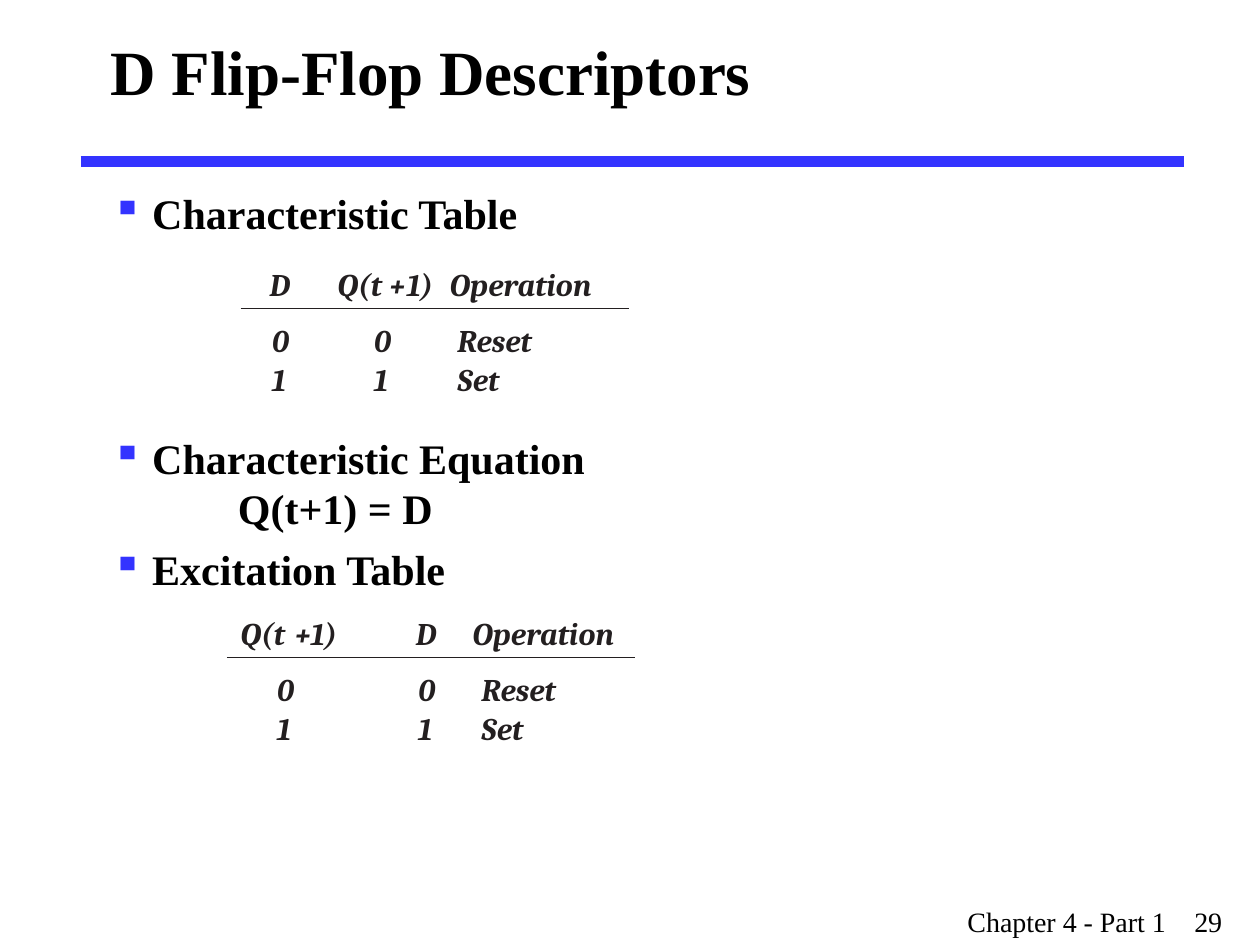
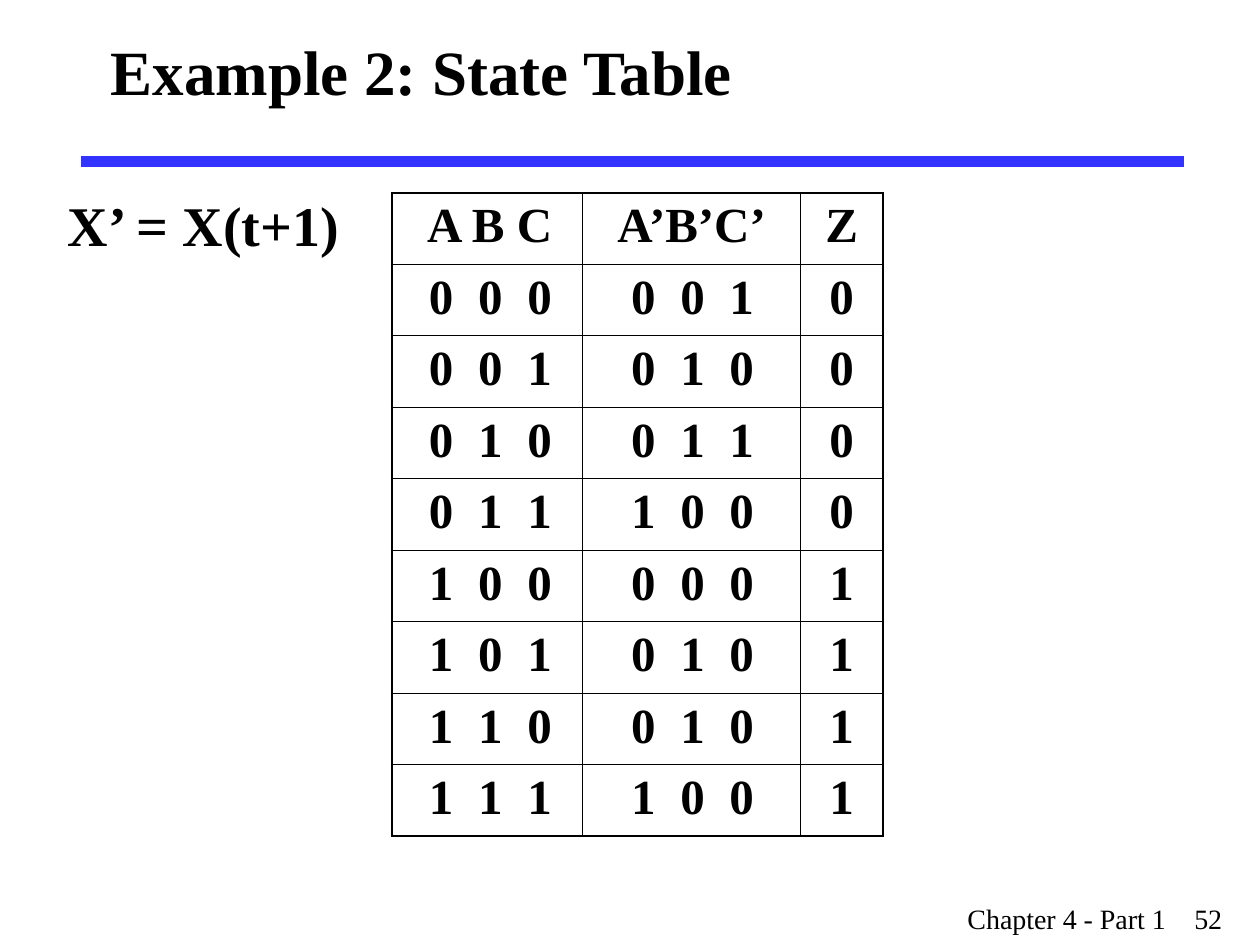
from dataclasses import dataclass

from lxml import etree
from pptx import Presentation
from pptx import util as u
from pptx.dml import color
from pptx.enum import shapes, text
from pptx.oxml import ns


@dataclass(frozen=True)
class Theme:
    ink: str = "000000"
    soft: str = "231F20"
    blue: str = "3333FF"
    serif: str = "Times New Roman"
    slant: str = "Cambria"
    title: int = 36
    note: int = 32
    cell: int = 28
    body: int = 24
    term: int = 18
    foot: int = 16
    thick: float = 1.08
    thin: float = 0.45


T = Theme()
WIDE, HIGH = u.Inches(10), u.Inches(7.5)
COLS, ROWS = 100, 75  # slide grid


def col(n):
    return round(WIDE * n / COLS)


def row(n):
    return round(HIGH * n / ROWS)


def node(parent, tag, **attrs):
    return etree.SubElement(parent, ns.qn(tag), attrs)


def write(frame, words, size=T.body, font=T.serif, ink=T.ink, bold=True,
          slant=False, align=text.PP_ALIGN.LEFT, tabs=(), bullet=None,
          hang=0, gaps=()):
    """Fill a text frame; words holds one string per paragraph."""
    frame.word_wrap = True
    for i, line in enumerate(words):
        para = frame.paragraphs[0] if i == 0 else frame.add_paragraph()
        para.text = line
        para.alignment = align
        props = para._p.get_or_add_pPr()
        if bullet:
            props.set("marL", str(col(hang)))
            props.set("indent", str(-col(hang)))
            node(node(props, "a:buClr"), "a:srgbClr", val=T.blue)
            node(props, "a:buChar", char=bullet)
        if tabs:
            stops = node(props, "a:tabLst")
            for stop in tabs:
                node(stops, "a:tab", pos=str(col(stop)), algn="l")
        if i and gaps:
            para.space_before = u.Pt(gaps[i - 1])
        for run in para.runs:
            face = run.font
            face.size, face.name = u.Pt(size), font
            face.bold, face.italic = bold, slant
            face.color.rgb = color.RGBColor.from_string(ink)


def label(slide, box, words, inset=True, mid=False, **form):
    x, y, w, h = box
    frame = slide.shapes.add_textbox(col(x), row(y), col(w), row(h)).text_frame
    if not inset:
        frame.margin_left = frame.margin_right = 0
        frame.margin_top = frame.margin_bottom = 0
    if mid:
        frame.vertical_anchor = text.MSO_ANCHOR.MIDDLE
    write(frame, words, **form)


def rule(slide, x, y, w, ink, width):
    line = slide.shapes.add_connector(
        shapes.MSO_CONNECTOR.STRAIGHT, col(x), row(y), col(x + w), row(y))
    line.line.color.rgb = color.RGBColor.from_string(ink)
    line.line.width = u.Pt(width)
    node(line._element.spPr, "a:effectLst")


def base(deck, title, page, foot):
    """Blank slide with the shared title, band and footer."""
    slide = deck.slides.add_slide(deck.slide_layouts[6])
    rule(slide, 6.4, 12.8, 87.6, T.blue, 6)
    label(slide, (7.8, 0, 85, 11.2), [title], size=T.title, mid=True)
    label(slide, (75.8, foot, 24.2, 3.7), [f"Chapter 4 - Part 1\t{page}"],
          size=T.foot, bold=False, tabs=[18])
    return slide


# Widths of the terms in the small tables
SPAN = {"D": 1.9, "0": 1.4, "1": 1.4, "+": 1.4, "Q(t": 4, "1)": 2.4,
        "+1)": 3.8, "Operation": 13.1, "Reset": 6.8, "Set": 3.9}


def terms(slide, box, heads, body):
    """Small ruled table; offsets count from the box's left edge."""
    left, top, wide = box
    rule(slide, left, top + 3.5, wide, T.soft, 0.5)
    spots = [(x, 0, word) for x, word in heads]
    spots += [(x, y, word) for x, *words in body
              for y, word in zip((4.5, 7.55), words)]
    for x, y, word in spots:
        label(slide, (left + x, top + y, SPAN[word], 3), [word], inset=False,
              size=T.term, font=T.slant, ink=T.soft, slant=True)


def edge(cell, sides):
    """Draw cell borders in the order left, right, top, bottom."""
    props = cell._tc.get_or_add_tcPr()
    for side, outer in zip("LRTB", sides):
        line = node(props, f"a:ln{side}",
                    w=str(u.Pt(T.thick if outer else T.thin)))
        node(node(line, "a:solidFill"), "a:srgbClr", val=T.ink)
    cell.fill.background()


def states(slide, box, widths, heads, data):
    x, y, w, h = box
    count, last = len(data) + 1, len(heads) - 1
    grid = slide.shapes.add_table(
        count, len(heads), col(x), row(y), col(w), row(h)).table
    grid.first_row = grid.horz_banding = False
    for part, width in zip(grid.columns, widths):
        part.width = col(width)
    for r, words in enumerate([heads, *data]):
        grid.rows[r].height = row(h / count)
        for c, word in enumerate(words):
            cell = grid.cell(r, c)
            edge(cell, (c == 0, c == last, r == 0, r == count - 1))
            if c < last:
                cell.margin_left = col(2.8 if r == 0 else (2.95, 3.9)[c])
                cell.margin_right = 0
                if r:
                    word = "\t".join(word)
            side = text.PP_ALIGN.CENTER if c == last else text.PP_ALIGN.LEFT
            write(cell.text_frame, [word], size=T.cell, align=side,
                  tabs=(3.9, 7.8) if r and c < last else ())


def traits(deck):
    slide = base(deck, "D Flip-Flop Descriptors", 29, 71.3)
    label(slide, (7.9, 14.4, 85, 55),
          ["Characteristic Table", "Characteristic Equation\v\tQ(t+1) = D",
           "Excitation Table"],
          bullet="▪", hang=3.2, tabs=range(10, 90, 10), gaps=(111, 6))
    # Characteristic table
    terms(slide, (19.1, 21, 30.8),
          [(2.3, "D"), (7.7, "Q(t"), (11.8, "+"), (13.2, "1)"),
           (16.6, "Operation")],
          [(2.5, "0", "1"), (10.6, "0", "1"), (17.2, "Reset", "Set")])
    # Excitation table
    terms(slide, (18, 48.7, 32.4),
          [(1.1, "Q(t"), (5.4, "+1)"), (15, "D"), (19.5, "Operation")],
          [(4, "0", "1"), (15.2, "0", "1"), (20.2, "Reset", "Set")])


def sample(deck):
    slide = base(deck, "Example 2: State Table", 52, 71.1)
    after = ("001", "010", "011", "100", "000", "010", "010", "100")
    data = [(f"{n:03b}", goal, str(n // 4)) for n, goal in enumerate(after)]
    states(slide, (31.1, 15.3, 39, 51), (15.1, 17.3, 6.6),
           ("A B C", "A’B’C’", "Z"), data)
    label(slide, (4.4, 14.6, 25.4, 6.4), ["X’ = X(t+1)"], size=T.note)


def main():
    deck = Presentation()
    deck.slide_width, deck.slide_height = WIDE, HIGH
    traits(deck)
    sample(deck)
    deck.save("out.pptx")


if __name__ == "__main__":
    main()
